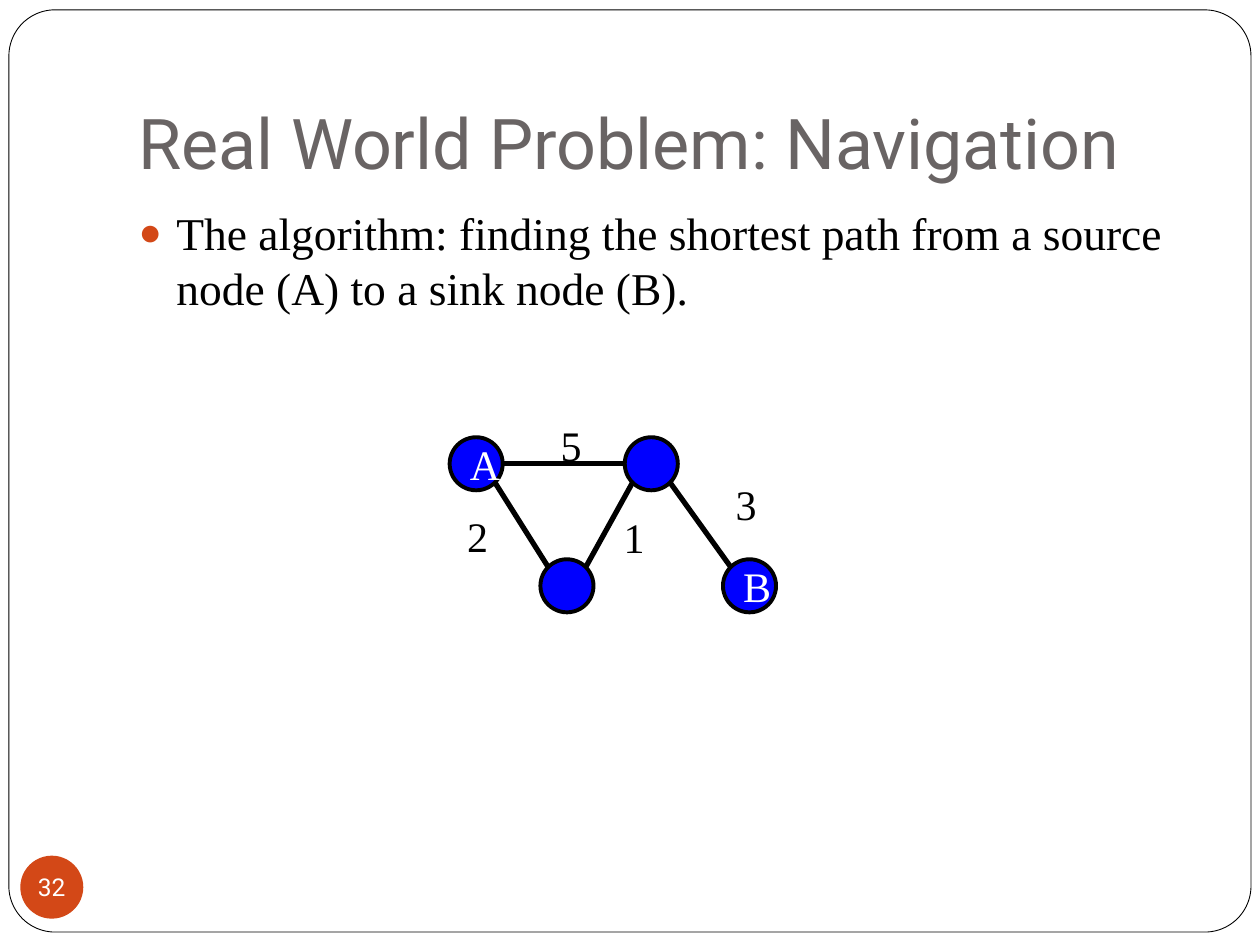
import math

import lxml.etree
import pptx
import pptx.dml.color
import pptx.enum.shapes
import pptx.enum.text
import pptx.oxml.ns
import pptx.util

Cm, Pt = pptx.util.Cm, pptx.util.Pt
SHAPE = pptx.enum.shapes.MSO_SHAPE
ALIGN = pptx.enum.text.PP_ALIGN
ANCHOR = pptx.enum.text.MSO_ANCHOR
qn = pptx.oxml.ns.qn


def color(hex_value):
    """Turn a hex string into a colour."""
    return pptx.dml.color.RGBColor.from_string(hex_value)


def assign(target, values):
    """Set attributes from a dict of format values."""
    for key, value in values.items():
        setattr(target, key, value)


class GraphSlide:
    """Holds the style and the slide being built."""

    heading_font, text_font = "Roboto", "Times New Roman"
    accent, ink, node_fill, white = "D34817", "000000", "0000FF", "FFFFFF"
    node_size = 1.07

    def __init__(self, slide):
        """Keep the slide to draw on."""
        self.slide = slide

    def add_text(self, shape, text, size, font, hex_value, align=ALIGN.LEFT, **frame):
        """Add one formatted paragraph and return it."""
        assign(shape.text_frame, frame)
        paragraph = shape.text_frame.paragraphs[0]
        paragraph.alignment = align
        run = paragraph.add_run()
        assign(run, {"text": text})
        assign(run.font, {"size": Pt(size), "name": font})
        run.font.color.rgb = color(hex_value)
        return paragraph

    def place(self, shape, left, top, width, height):
        """Move and size a shape, in centimetres."""
        assign(shape, {"left": Cm(left), "top": Cm(top),
                       "width": Cm(width), "height": Cm(height)})

    def title(self, text):
        """Fill the title placeholder."""
        heading = self.slide.shapes.title
        self.place(heading, 2.54, 0.76, 21.59, 3.18)
        self.add_text(heading, text, 40, self.heading_font, "696464",
                      vertical_anchor=ANCHOR.BOTTOM, margin_bottom=Cm(0.25),
                      auto_size=pptx.enum.text.MSO_AUTO_SIZE.NONE)

    def bullet(self, text):
        """Fill the body placeholder with one bulleted paragraph."""
        statement = self.slide.placeholders[1]
        self.place(statement, 2.54, 4.01, 21.59, 12.7)
        paragraph = self.add_text(statement, text, 26, self.text_font, self.ink,
                                  auto_size=pptx.enum.text.MSO_AUTO_SIZE.NONE)
        paragraph.space_before = Pt(5.8)
        props = paragraph._p.get_or_add_pPr()
        for key, value in {"marL": Cm(0.76), "indent": -Cm(0.76)}.items():
            props.set(key, str(int(value)))
        bullet_color = lxml.etree.SubElement(props, qn("a:buClr"))
        lxml.etree.SubElement(bullet_color, qn("a:srgbClr"), val=self.accent)
        lxml.etree.SubElement(props, qn("a:buSzPct"), val="85000")
        lxml.etree.SubElement(props, qn("a:buChar"), char="●")

    def shape(self, kind, box, fill, line_width=None):
        """Add a filled preset shape, outlined if a width is given."""
        added = self.slide.shapes.add_shape(kind, *map(Cm, box))
        added.shadow.inherit = False
        added.fill.solid()
        added.fill.fore_color.rgb = color(fill)
        if line_width:
            added.line.color.rgb = color(self.ink)
            added.line.width = Pt(line_width)
        else:
            added.line.fill.background()
        return added

    def frame(self):
        """Add the rounded border behind everything else."""
        border = self.shape(SHAPE.ROUNDED_RECTANGLE, (0.18, 0.2, 25.04, 18.59),
                            self.white, 0.5)
        border.adjustments[0] = 0.05
        border.element.getparent().insert(2, border.element)

    def page_number(self, number):
        """Add the round page number."""
        badge = self.shape(SHAPE.OVAL, (0.41, 17.25, 1.27, 1.27), self.accent)
        self.add_text(badge, number, 14, self.heading_font, self.white, ALIGN.CENTER,
                      word_wrap=False, vertical_anchor=ANCHOR.MIDDLE, margin_left=0,
                      margin_right=0, margin_top=0, margin_bottom=0)

    def node(self, center, letter):
        """Add a graph node around its centre."""
        size = self.node_size
        circle = self.shape(SHAPE.OVAL, (center[0] - size / 2, center[1] - size / 2,
                                         size, size), self.node_fill, 2.25)
        if letter:
            self.add_text(circle, letter, 24, self.text_font, self.white, ALIGN.CENTER,
                          vertical_anchor=ANCHOR.MIDDLE)

    def edge(self, start, end):
        """Join two nodes at the nearest eighth of their rims."""
        step = math.pi / 4
        angle = step * round(math.atan2(end[1] - start[1], end[0] - start[0]) / step)
        dx = self.node_size / 2 * math.cos(angle)
        dy = self.node_size / 2 * math.sin(angle)
        line = self.slide.shapes.add_connector(
            pptx.enum.shapes.MSO_CONNECTOR.STRAIGHT,
            Cm(start[0] + dx), Cm(start[1] + dy), Cm(end[0] - dx), Cm(end[1] - dy))
        line.line.color.rgb = color(self.ink)
        line.line.width = Pt(3)
        lxml.etree.SubElement(line.element.spPr, qn("a:effectLst"))

    def weight(self, left, top, text):
        """Add the weight of an edge."""
        label = self.slide.shapes.add_textbox(Cm(left), Cm(top), Cm(0.91), Cm(1.27))
        self.add_text(label, text, 24, self.text_font, self.ink, word_wrap=False,
                      auto_size=pptx.enum.text.MSO_AUTO_SIZE.SHAPE_TO_FIT_TEXT)


def main():
    """Build and save the slide."""
    deck = pptx.Presentation()
    assign(deck, {"slide_width": Cm(25.4), "slide_height": Cm(19.05)})
    page = GraphSlide(deck.slides.add_slide(deck.slide_layouts[1]))
    page.frame()
    page.title("Real World Problem: Navigation")
    page.page_number("32")
    page.bullet("The algorithm: finding the shortest path from a source "
                "node (A) to a sink node (B).")

    upper, lower = 9.35, 11.81
    source, junction = (9.6, upper), (13.13, upper)
    detour, sink = (11.43, lower), (15.11, lower)
    for center, letter in ((source, "A"), (junction, ""), (detour, ""), (sink, "B")):
        page.node(center, letter)
    for start, end in ((source, junction), (source, detour),
                       (junction, detour), (junction, sink)):
        page.edge(start, end)
    for left, top, text in ((11.05, 8.33, "5"), (9.17, 10.16, "2"),
                            (12.32, 10.18, "1"), (14.58, 9.53, "3")):
        page.weight(left, top, text)
    deck.save("out.pptx")


main()
